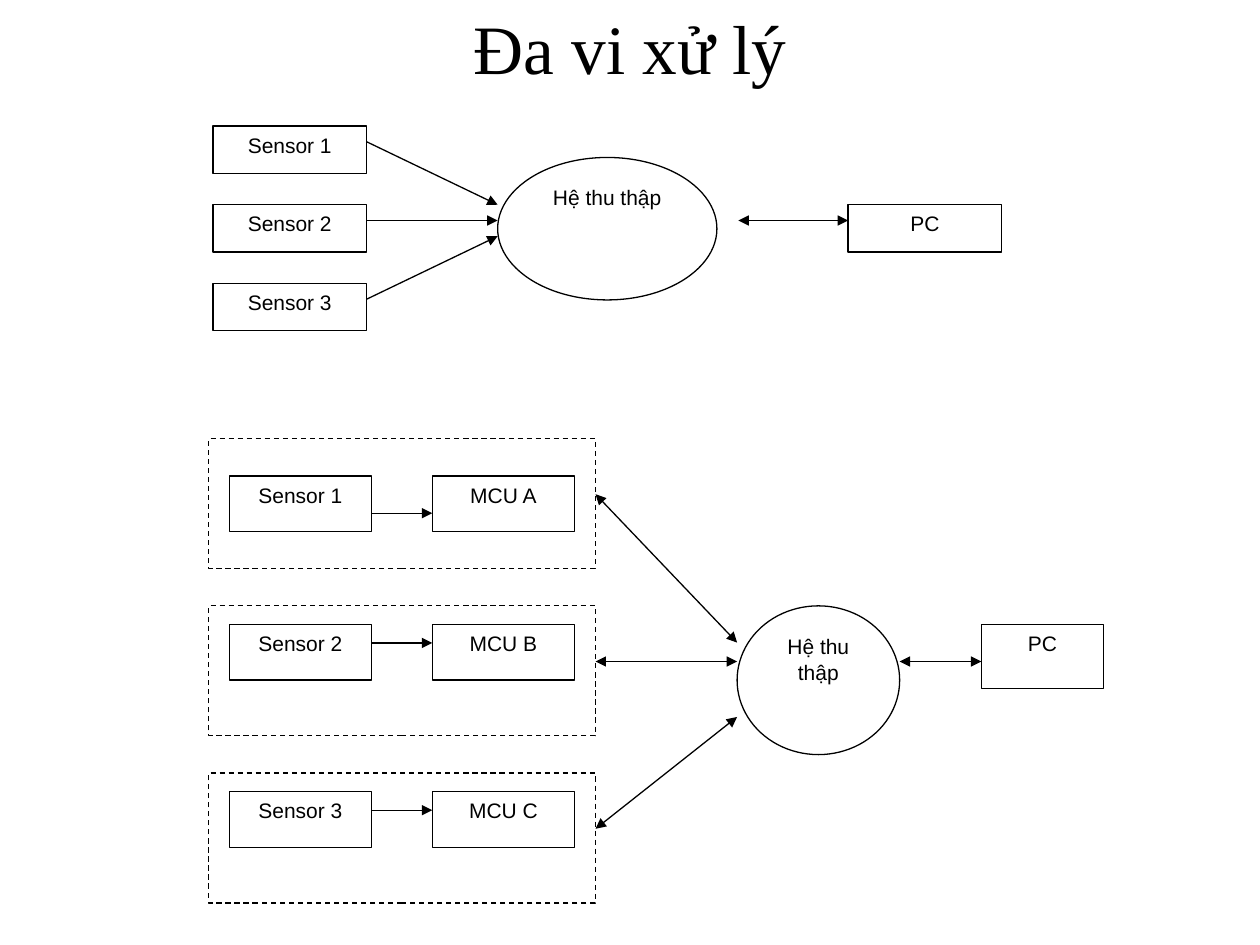
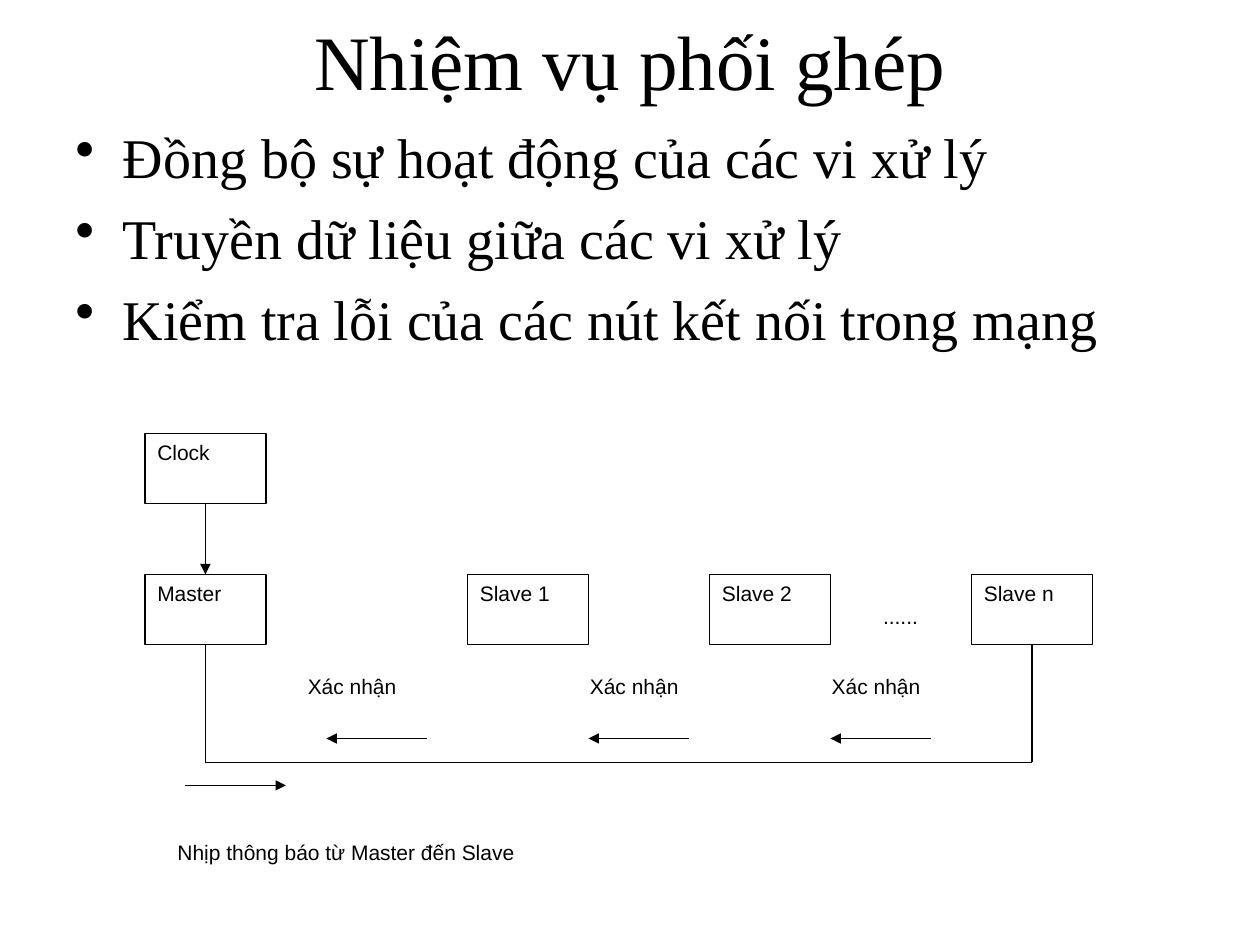
import pptx
import pptx.util
import pptx.dml.color
import pptx.enum.dml
import pptx.enum.shapes
import pptx.enum.text
import pptx.oxml.ns
import lxml.etree

Pt = pptx.util.Pt
qn = pptx.oxml.ns.qn
SHAPE = pptx.enum.shapes.MSO_SHAPE
ALIGN = pptx.enum.text.PP_ALIGN
ANCHOR = pptx.enum.text.MSO_ANCHOR


class Theme:
    ink = pptx.dml.color.RGBColor(0, 0, 0)
    paper = pptx.dml.color.RGBColor(255, 255, 255)
    serif = "Times New Roman"
    sans = "Arial"
    bullet_size = 32
    label_size = 12
    line = 0.75


def add_box(s, x, y, w, h, text="", kind=SHAPE.RECTANGLE, align=ALIGN.CENTER,
            border=Theme.ink, dashed=False, inset=7.2):
    sp = s.shapes.add_shape(kind, Pt(x), Pt(y), Pt(w), Pt(h))
    sp.shadow.inherit = False
    sp.fill.solid()
    sp.fill.fore_color.rgb = Theme.paper
    sp.line.color.rgb = border
    sp.line.width = Pt(Theme.line)
    if dashed:
        sp.line.dash_style = pptx.enum.dml.MSO_LINE.DASH
    tf = sp.text_frame
    tf.word_wrap = True
    tf.vertical_anchor = ANCHOR.TOP
    tf.margin_left = Pt(inset)
    if text:
        tf.text = text
        p = tf.paragraphs[0]
        p.alignment = align
        f = p.runs[0].font
        f.name, f.size, f.color.rgb = Theme.sans, Pt(Theme.label_size), Theme.ink
    return sp


def add_line(s, x1, y1, x2, y2, ends=("tailEnd",)):
    c = s.shapes.add_connector(pptx.enum.shapes.MSO_CONNECTOR.STRAIGHT,
                               Pt(x1), Pt(y1), Pt(x2), Pt(y2))
    c.line.color.rgb = Theme.ink
    c.line.width = Pt(Theme.line)
    sp_pr = c._element.spPr
    ln = sp_pr.find(qn("a:ln"))
    for end in ends:
        lxml.etree.SubElement(ln, qn("a:" + end)).set("type", "triangle")
    lxml.etree.SubElement(sp_pr, qn("a:effectLst"))
    return c


BOTH = ("headEnd", "tailEnd")

prs = pptx.Presentation()
prs.slide_width, prs.slide_height = Pt(720), Pt(540)

for title, size, height in (("Đa vi xử lý", 39.6, 54), ("Nhiệm vụ phối ghép", 44, 68.4)):
    s = prs.slides.add_slide(prs.slide_layouts[5])
    sp = s.shapes.title
    sp.left, sp.top, sp.width, sp.height = Pt(36), Pt(0), Pt(648), Pt(height)
    tf = sp.text_frame
    tf.text = title
    tf.auto_size = pptx.enum.text.MSO_AUTO_SIZE.NONE
    tf.vertical_anchor = ANCHOR.MIDDLE
    p = tf.paragraphs[0]
    p.alignment = ALIGN.CENTER
    f = p.runs[0].font
    f.name, f.size, f.color.rgb = Theme.serif, Pt(size), Theme.ink

s = prs.slides[0]

sensor_x, sensor_w, sensor_h = 121.7, 87.8, 27
hub_x, hub_y = 284.4, 126
for i in range(3):
    y = 72 + 45 * i
    add_box(s, sensor_x, y, sensor_w, sensor_h, f"Sensor {i + 1}")
    add_line(s, sensor_x + sensor_w, y + 9, hub_x, hub_y + 9 * (i - 1))
add_box(s, hub_x, 90, 125.3, 81.4, "Hệ thu thập", SHAPE.OVAL)
add_box(s, 484.6, 117, sensor_w, sensor_h, "PC")
add_line(s, 422, hub_y, 484.6, hub_y, BOTH)

frame_x, frame_w, frame_h = 119.3, 221, 74.2
node_w, node_h = 81.4, 31.8
hub_x = 421.2
rows = (("A", 21.4, 21.3, 367.2), ("B", 10.6, 10.6, 378), ("C", 10.6, 10.6, 409.7))
for i, (mcu, node_dy, arrow_dy, hub_y) in enumerate(rows):
    frame_y = 250.6 + 95.6 * i
    node_y = frame_y + node_dy
    add_box(s, frame_x, frame_y, frame_w, frame_h, dashed=True)
    add_box(s, 131, node_y, node_w, node_h, f"Sensor {i + 1}")
    add_box(s, 247, node_y, node_w, node_h, f"MCU {mcu}")
    add_line(s, 131 + node_w, node_y + arrow_dy, 247, node_y + arrow_dy)
    add_line(s, frame_x + frame_w, frame_y + 31.8, hub_x, hub_y, BOTH)
add_box(s, hub_x, 346.2, 92.9, 85, "Hệ thu thập", SHAPE.OVAL)
add_box(s, 560.8, 356.8, 69.8, 36.6, "PC")
add_line(s, hub_x + 92.9, 378, 560.8, 378, BOTH)

s = prs.slides[1]

tf = s.shapes.add_textbox(Pt(36), Pt(66.2), Pt(648), Pt(162)).text_frame
tf.word_wrap = True
tf.text = "\n".join(("Đồng bộ sự hoạt động của các vi xử lý",
                     "Truyền dữ liệu giữa các vi xử lý",
                     "Kiểm tra lỗi của các nút kết nối trong mạng"))
for p in tf.paragraphs:
    p.space_before = Pt(8)
    p_pr = p._p.get_or_add_pPr()
    p_pr.set("marL", str(Pt(27)))
    p_pr.set("indent", str(-Pt(27)))
    lxml.etree.SubElement(p_pr, qn("a:buChar")).set("char", "•")
    f = p.runs[0].font
    f.name, f.size, f.color.rgb = Theme.serif, Pt(Theme.bullet_size), Theme.ink

node_w, node_h, node_y = 69.2, 40.3, 328.2
for x in (152, 313.2, 451.4):
    add_box(s, x, 381.6, 115.2, node_h, "Xác nhận",
            align=ALIGN.LEFT, border=Theme.paper, inset=23.9)
add_box(s, 497.5, 341.3, 46, 26.6, "......", align=ALIGN.LEFT, border=Theme.paper)
add_box(s, 94.3, 476, 242, node_h, "Nhịp thông báo từ Master đến Slave",
        align=ALIGN.LEFT, border=Theme.paper)

nodes = {}
for name, x, y in (("Clock", 82.8, 247.6), ("Master", 82.8, node_y), ("Slave 1", 267.1, node_y),
                   ("Slave 2", 405.4, node_y), ("Slave n", 555.1, node_y)):
    nodes[name] = add_box(s, x, y, node_w, node_h, name, align=ALIGN.LEFT)

master_x, last_x, node_bottom, bus_y = 117.4, 589.7, node_y + node_h, 435.6
c = add_line(s, master_x, 247.6 + node_h, master_x, node_y)
c.begin_connect(nodes["Clock"], 2)
c.end_connect(nodes["Master"], 0)
for name, x in (("Master", master_x), ("Slave n", last_x)):
    c = add_line(s, x, node_bottom, x, bus_y, ())
    c.begin_connect(nodes[name], 2)
add_line(s, master_x, bus_y, last_x, bus_y, ())

for x in (186.5, 336.3, 474.5):
    add_line(s, x + 57.6, 422, x, 422)
add_line(s, 105.8, 448.8, 163.4, 448.8)

prs.save("out.pptx")
